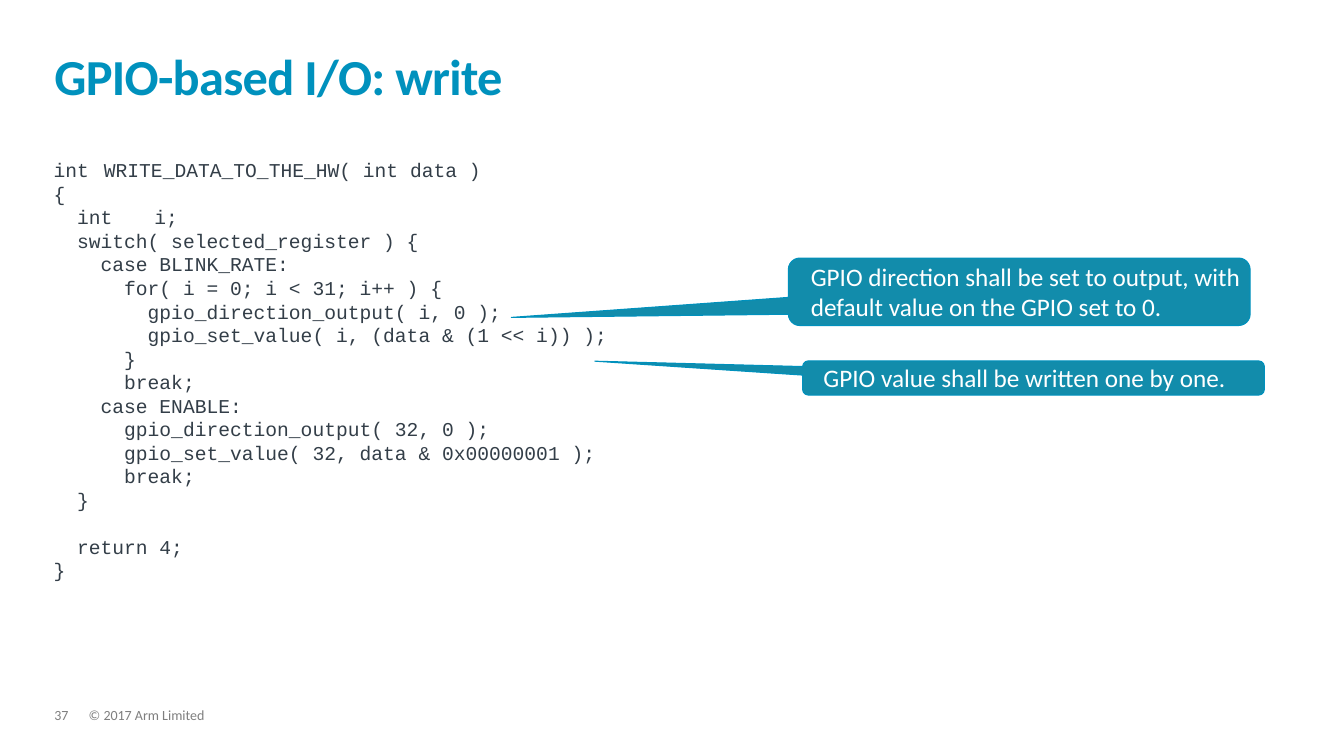
"""Build the slide on writing to hardware through GPIO, with two callouts on the code."""
from pptx import Presentation
from pptx.dml.color import RGBColor
from pptx.enum.shapes import MSO_SHAPE as Preset
from pptx.enum.text import MSO_ANCHOR as Anchor, MSO_AUTO_SIZE as AutoSize, PP_ALIGN as Align
from pptx.util import Inches, Pt

CODE = """int\tWRITE_DATA_TO_THE_HW( int data )
{
  int\ti;
  switch( selected_register ) {
    case BLINK_RATE:
      for( i = 0; i < 31; i++ ) {
        gpio_direction_output( i, 0 );
        gpio_set_value( i, (data & (1 << i)) );
      }
      break;
    case ENABLE:
      gpio_direction_output( 32, 0 );
      gpio_set_value( 32, data & 0x00000001 );
      break;
  }

  return 4;
}"""
CODE_PITCH = Pt(16.8)

presentation = Presentation()
presentation.slide_width, presentation.slide_height = Inches(13.33), Inches(7.5)
slide = presentation.slides.add_slide(presentation.slide_layouts[6])


def color(hex_value):
    return RGBColor.from_string(hex_value)


def place(left, top, width, height):
    """Turn percentages of the slide into lengths."""
    across, down = presentation.slide_width / 100, presentation.slide_height / 100
    return [int(length) for length in (left * across, top * down, width * across, height * down)]


FRAME = {"margin_left": 0, "margin_top": 0, "margin_right": 0, "margin_bottom": 0,
         "word_wrap": True}
FOOTER = {"frame": {"auto_size": AutoSize.SHAPE_TO_FIT_TEXT},
          "paragraph": {"line_spacing": 0.9},
          "font": {"name": "Calibri", "size": Pt(10)}, "color": "7F7F7F"}
TITLE = {"frame": {"vertical_anchor": Anchor.BOTTOM},
         "paragraph": {"line_spacing": 0.85},
         "font": {"name": "Calibri", "size": Pt(36), "bold": True}, "color": "0091BD",
         "spacing": "-50"}
LISTING = {"frame": {"vertical_anchor": Anchor.TOP},
           "paragraph": {"line_spacing": CODE_PITCH},
           "font": {"name": "Courier New", "size": Pt(14)}, "color": "333E48"}
CALLOUT = {"frame": {"auto_size": AutoSize.SHAPE_TO_FIT_TEXT, "vertical_anchor": Anchor.TOP},
           "paragraph": {"alignment": Align.LEFT},
           "font": {"name": "Calibri", "size": Pt(18)}, "color": "FFFFFF",
           "indent": Inches(0.19)}

items = [
    ("© 2017 Arm Limited", FOOTER, (6.6, 93.73, 68.49, 2), None),
    ("37", FOOTER, (4.05, 93.73, 2.55, 2), None),
    ("GPIO-based I/O: write", TITLE, (4.05, 4.27, 91.75, 9.73), None),
    (CODE, LISTING, (3.98, 20.93, 91.52, 68.27), None),
    ("GPIO direction shall be set to output, with default value on the GPIO set to 0.",
     CALLOUT, (58.66, 34.13, 34.36, 8.93), (-1.1, 0.38, 0.17)),
    ("GPIO value shall be written one by one.",
     CALLOUT, (59.72, 47.73, 34.36, 4.53), (-0.95, -0.49, 0.17)),
]

for text, style, box, pointer in items:
    if pointer:
        shape = slide.shapes.add_shape(Preset.ROUNDED_RECTANGULAR_CALLOUT, *place(*box))
        shape.shadow.inherit = False
        shape.fill.solid()
        shape.fill.fore_color.rgb = color("128CAB")
        shape.line.color.rgb = color("0091BD")
        shape.line.width = Pt(0.75)
        for index, value in enumerate(pointer):
            shape.adjustments[index] = value
    else:
        shape = slide.shapes.add_textbox(*place(*box))
    frame = shape.text_frame
    for name, value in (FRAME | style["frame"]).items():
        setattr(frame, name, value)

    for number, block in enumerate(text.split("\n\n")):
        for row, line in enumerate(block.split("\n")):
            first = number == row == 0
            paragraph = frame.paragraphs[0] if first else frame.add_paragraph()
            for name, value in style["paragraph"].items():
                setattr(paragraph, name, value)
            if number and row == 0:
                paragraph.space_before = CODE_PITCH
            if "indent" in style:
                properties = paragraph._p.get_or_add_pPr()
                properties.set("marL", str(style["indent"]))
                properties.set("indent", "0")
            run = paragraph.add_run()
            run.text = line
            for name, value in style["font"].items():
                setattr(run.font, name, value)
            run.font.color.rgb = color(style["color"])
            if "spacing" in style:
                run._r.get_or_add_rPr().set("spc", style["spacing"])

presentation.save("out.pptx")
